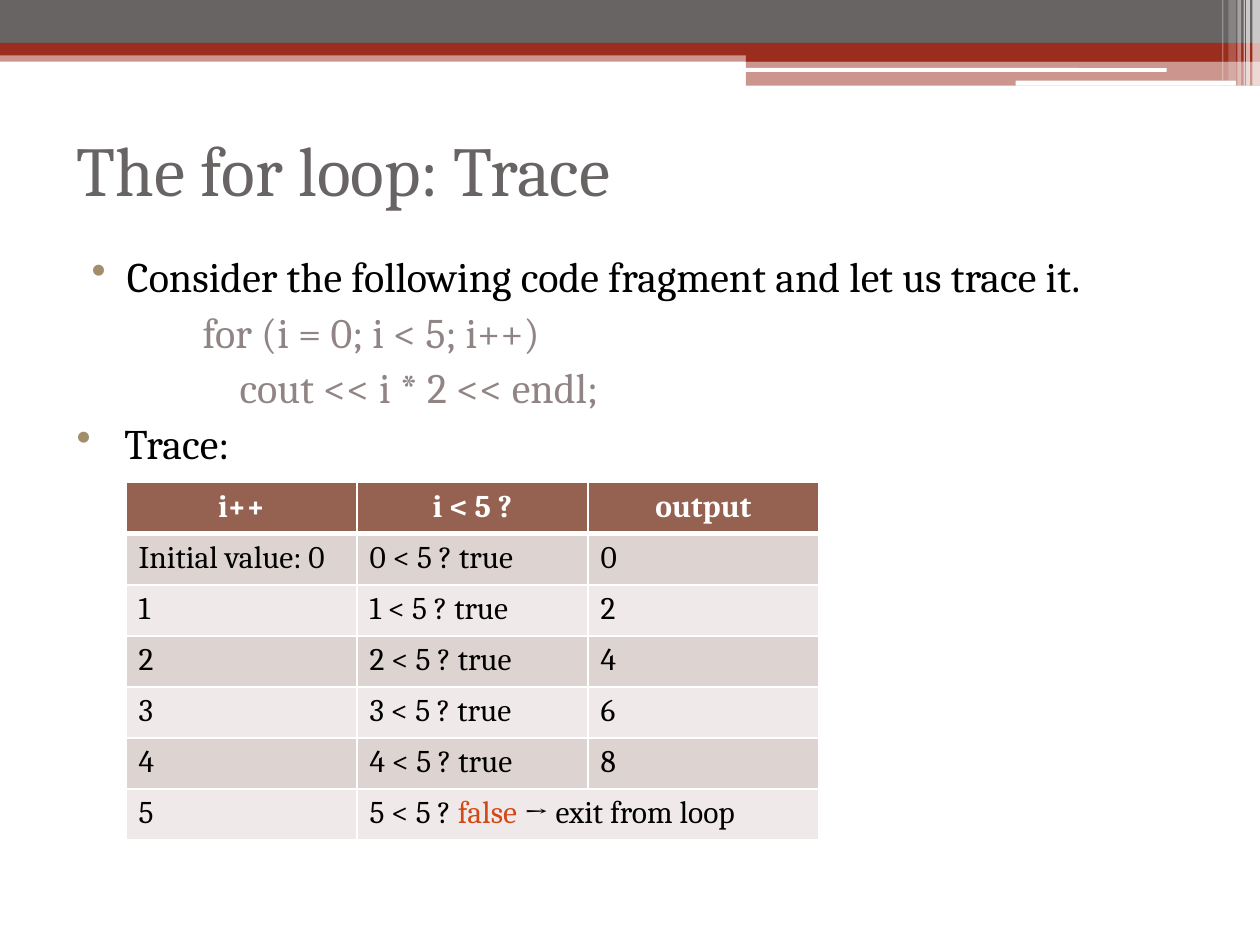
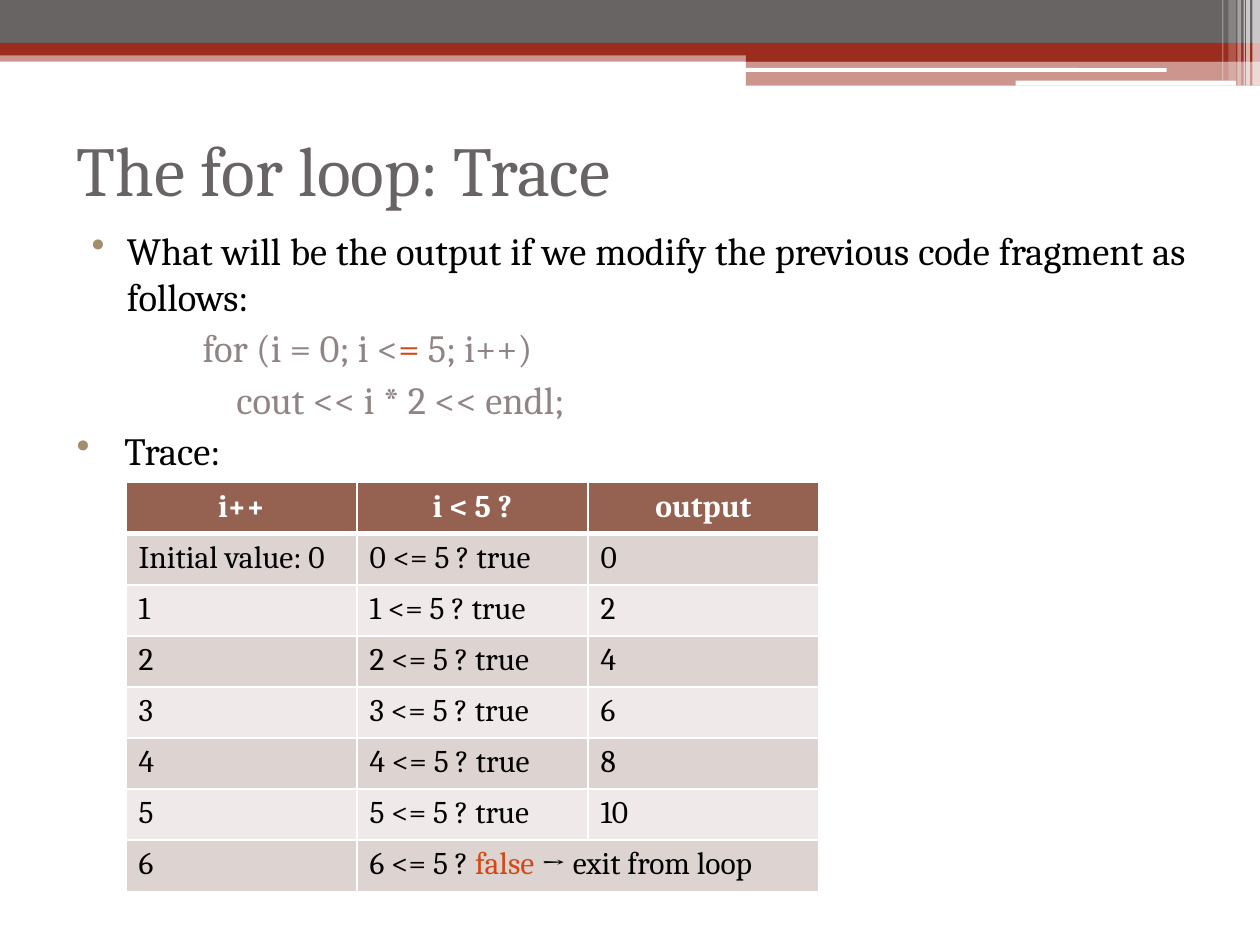
from lxml.etree import SubElement as Sub
from pptx import Presentation
from pptx.dml.color import RGBColor as Rgb
from pptx.enum.shapes import MSO_SHAPE as Kind
from pptx.enum.text import MSO_ANCHOR as Anchor, PP_ALIGN as Align
from pptx.oxml.ns import qn
from pptx.util import Inches, Pt

GRAY = Rgb(0x69, 0x64, 0x64)
RED = Rgb(0x9B, 0x2D, 0x1F)
WHITE = Rgb(0xFF, 0xFF, 0xFF)
BLACK = Rgb(0, 0, 0)
CODE = Rgb(0x91, 0x84, 0x85)
HOT = Rgb(0xD3, 0x48, 0x17)
DOT = Rgb(0xA2, 0x8E, 0x6A)
HEAD = Rgb(0x95, 0x62, 0x51)
BANDS = [Rgb(0xEF, 0xEA, 0xE9), Rgb(0xDD, 0xD3, 0xD0)]
FONT = "Cambria"
ROW = Inches(2.84) // 7

TITLE = "The for loop: Trace"
COLS = ["i++", "i < 5 ?", "output"]
SLIDES = [
    {
        "top": 1.94, "size": 24, "op": "<", "stop": 5,
        "intro": "Consider the following code fragment and let us trace it.",
        "loop": "for (i = 0; i < 5; i++)",
    },
    {
        "top": 1.75, "size": 22, "op": "<=", "stop": 6,
        "intro": "What will be the output if we modify the previous code fragment as follows:",
        "loop": "for (i = 0; i <|=| 5; i++)",
    },
]
PRINT = "    cout << i * 2 << endl;"

BARS = [
    (0, 0.4, 10, 0.09, RED, 50),
    (0, 0, 10, 0.34, GRAY, 100),
    (0, 0.34, 10, 0.1, RED, 100),
    (5.92, 0.39, 4.08, 0.1, RED, 100),
    (5.92, 0.48, 4.08, 0.2, RED, 50),
]
PILLS = [(5.91, 0.54, 3.35, 0.03), (8.06, 0.64, 1.75, 0.04)]
STRIPES = [
    (9.94, 0.06, 0.68, 65),
    (9.89, 0.03, 0.68, 65),
    (9.87, 0.01, 0.68, 60),
    (9.82, 0.03, 0.68, 40),
    (9.75, 0.06, 0.64, 20),
    (9.7, 0.01, 0.64, 30),
]


def add_bar(slide, x, y, wide, tall, color, solid=100, kind=Kind.RECTANGLE):
    """Draw one band of the header, at a given percent of opacity."""
    bar = slide.shapes.add_shape(kind, *map(Inches, (x, y, wide, tall)))
    bar.shadow.inherit = False
    bar.line.fill.background()
    bar.fill.solid()
    bar.fill.fore_color.rgb = color
    if solid < 100:
        tint = bar._element.spPr.find(qn("a:solidFill"))[0]
        Sub(tint, qn("a:alpha"), val=str(solid * 1000))


def add_header(slide):
    """Draw the bands, pills and stripes along the top."""
    for bar in BARS:
        add_bar(slide, *bar)
    for pill in PILLS:
        add_bar(slide, *pill, WHITE, kind=Kind.ROUNDED_RECTANGLE)
    for x, wide, tall, solid in STRIPES:
        add_bar(slide, x, 0, wide, tall, WHITE, solid)


def write(par, text, size, color, bold=False):
    """Fill a paragraph; text between upright bars is accented."""
    font = par.font
    font.name, font.size, font.bold = FONT, Pt(size), bold
    font.color.rgb = color
    for i, part in enumerate(text.split("|")):
        run = par.add_run()
        run.text = part
        if i % 2:
            run.font.color.rgb = HOT


def add_title(slide):
    """Place and style the title."""
    title = slide.shapes.title
    title.left, title.top = Inches(0.51), Inches(0.75)
    title.width, title.height = Inches(9), Inches(1.17)
    frame = title.text_frame
    frame.vertical_anchor = Anchor.MIDDLE
    par = frame.paragraphs[0]
    par.alignment = Align.LEFT
    write(par, TITLE, 40, GRAY)


def add_body(slide, data):
    """Write the bullets and the code lines."""
    lines = [
        (data["intro"], 0.4, -0.28, BLACK),
        (data["loop"], 1, 0, CODE),
        (PRINT, 1, 0, CODE),
        ("Trace:", 0.38, -0.38, BLACK),
    ]
    top = data["top"]
    box = slide.shapes.add_textbox(*map(Inches, (0.51, top, 9, 7 - top)))
    frame = box.text_frame
    frame.word_wrap = True
    for i, (text, left, hang, color) in enumerate(lines):
        par = frame.add_paragraph() if i else frame.paragraphs[0]
        par.alignment = Align.JUSTIFY
        if i:
            par.space_before = Pt(3)
        prop = par._p.get_or_add_pPr()
        prop.set("marL", str(Inches(left)))
        prop.set("indent", str(Inches(hang)))
        if hang:
            tint = Sub(prop, qn("a:buClr"))
            Sub(tint, qn("a:srgbClr"), val=str(DOT))
            Sub(prop, qn("a:buChar"), char="•")
        write(par, text, data["size"], color)


def set_edges(cell, row):
    """Give a cell white borders, thick under the header row."""
    prop = cell._tc.get_or_add_tcPr()
    thick = {("lnB", 0), ("lnT", 1)}
    for i, side in enumerate(["lnL", "lnR", "lnT", "lnB"]):
        wide = Pt(3 if (side, row) in thick else 1)
        edge = prop.makeelement(qn("a:" + side), {"w": str(wide)})
        prop.insert(i, edge)
        paint = Sub(edge, qn("a:solidFill"))
        Sub(paint, qn("a:srgbClr"), val=str(WHITE))


def add_trace(slide, op, stop):
    """Build the trace table, one row per pass of the loop."""
    rows = [COLS]
    for i in range(stop):
        first = f"Initial value: {i}" if i == 0 else str(i)
        rows.append([first, f"{i} {op} 5 ? true", str(2 * i)])
    rows.append([str(stop), f"{stop} {op} 5 ? |false| → exit from loop"])
    count = len(rows)
    table = slide.shapes.add_table(
        count, 3, Inches(1), Inches(3.83), Inches(5.5), ROW * count
    ).table
    table.cell(count - 1, 1).merge(table.cell(count - 1, 2))
    for r, row in enumerate(rows):
        for c in range(3):
            cell = table.cell(r, c)
            cell.fill.solid()
            cell.fill.fore_color.rgb = BANDS[r % 2] if r else HEAD
            set_edges(cell, r)
            if c < len(row):
                par = cell.text_frame.paragraphs[0]
                par.alignment = Align.LEFT if r else Align.CENTER
                write(par, row[c], 18, BLACK if r else WHITE, r == 0)


def main():
    """Build and save the slides."""
    deck = Presentation()
    deck.slide_width, deck.slide_height = Inches(10), Inches(7.5)
    for data in SLIDES:
        slide = deck.slides.add_slide(deck.slide_layouts[5])
        add_header(slide)
        add_title(slide)
        add_body(slide, data)
        add_trace(slide, data["op"], data["stop"])
    deck.save("out.pptx")


if __name__ == "__main__":
    main()
